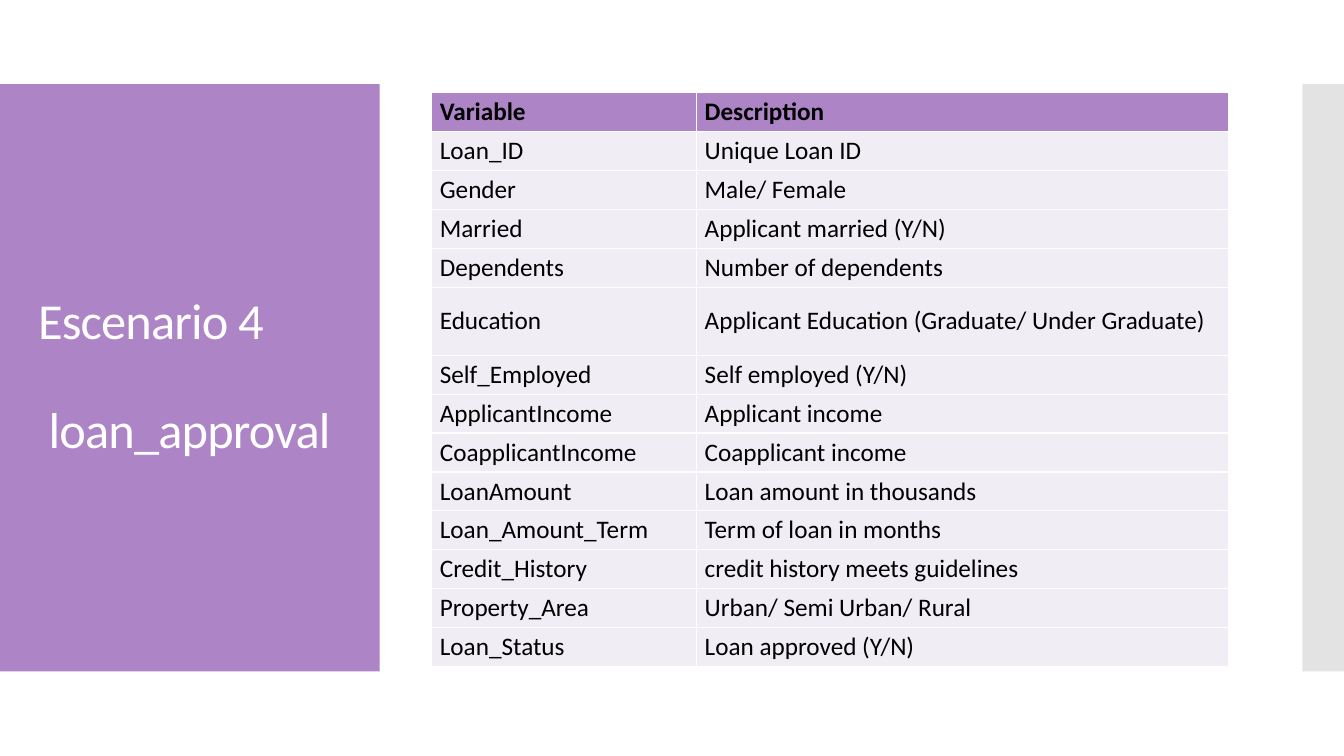
import dataclasses

import lxml.etree
import pptx
import pptx.dml.color
import pptx.enum.shapes
import pptx.enum.text
import pptx.oxml.ns
import pptx.util

Pt = pptx.util.Pt
qn = pptx.oxml.ns.qn
MIDDLE = pptx.enum.text.MSO_ANCHOR.MIDDLE


@dataclasses.dataclass(frozen=True)
class Theme:
    font: str = "Calibri"
    purple: str = "AD84C6"
    pale: str = "F1EDF5"
    gray: str = "C8C8C8"
    white: str = "FFFFFF"
    black: str = "000000"
    title: int = 36
    body: int = 18


def paint(fill, color):
    fill.solid()
    fill.fore_color.rgb = pptx.dml.color.RGBColor.from_string(color)


class Board:
    def __init__(self, slide, theme):
        self.slide = slide
        self.theme = theme

    def style(self, para, size, color, bold=False):
        font = para.font
        font.name = self.theme.font
        font.size = Pt(size)
        font.bold = bold
        paint(font.fill, color)

    def panel(self, left, top, width, height, color, alpha=100):
        shape = self.slide.shapes.add_shape(
            pptx.enum.shapes.MSO_SHAPE.RECTANGLE,
            Pt(left), Pt(top), Pt(width), Pt(height))
        shape.shadow.inherit = False
        shape.line.fill.background()
        paint(shape.fill, color)
        if alpha < 100:
            tint = shape.fill._xPr.find(".//" + qn("a:srgbClr"))
            lxml.etree.SubElement(tint, qn("a:alpha"), val=str(alpha * 1000))

    def title(self, left, top, width, height, lines, gap, indent):
        shape = self.slide.shapes.title
        self.slide.shapes._spTree.append(shape._element)
        shape.left, shape.top = Pt(left), Pt(top)
        shape.width, shape.height = Pt(width), Pt(height)
        frame = shape.text_frame
        frame.text = "\n".join(lines)
        frame.word_wrap = True
        frame.auto_size = pptx.enum.text.MSO_AUTO_SIZE.NONE
        frame.vertical_anchor = MIDDLE
        for index, para in enumerate(frame.paragraphs):
            self.style(para, self.theme.title, self.theme.white)
            para.alignment = pptx.enum.text.PP_ALIGN.LEFT
            para.line_spacing = 0.9
            para.space_before = Pt(gap * index)
            para._p.get_or_add_pPr().set("marL", str(Pt(indent * index)))
            para.runs[0]._r.get_or_add_rPr().set("spc", "-60")

    def border(self, cell):
        props = cell._tc.get_or_add_tcPr()
        for side in ("a:lnL", "a:lnR", "a:lnT", "a:lnB"):
            line = lxml.etree.SubElement(props, qn(side), w=str(Pt(1)))
            fill = lxml.etree.SubElement(line, qn("a:solidFill"))
            lxml.etree.SubElement(fill, qn("a:srgbClr"), val=self.theme.white)

    def table(self, left, top, widths, heights, rows):
        table = self.slide.shapes.add_table(
            len(rows), len(widths), Pt(left), Pt(top),
            Pt(sum(widths)), Pt(sum(heights))).table
        table.horz_banding = False
        for column, width in zip(table.columns, widths):
            column.width = Pt(width)
        for index, (row, height, words) in enumerate(
                zip(table.rows, heights, rows)):
            row.height = Pt(height)
            head = index == 0
            for cell, text in zip(row.cells, words):
                cell.text = text
                cell.vertical_anchor = MIDDLE
                cell.margin_left = cell.margin_right = Pt(5.8)
                cell.margin_top = cell.margin_bottom = Pt(2.9)
                self.style(cell.text_frame.paragraphs[0],
                           self.theme.body, self.theme.black, head)
                self.border(cell)
                paint(cell.fill, self.theme.purple if head else self.theme.pale)


FIELDS = [
    ("Variable", "Description"),
    ("Loan_ID", "Unique Loan ID"),
    ("Gender", "Male/ Female"),
    ("Married", "Applicant married (Y/N)"),
    ("Dependents", "Number of dependents"),
    ("Education", "Applicant Education (Graduate/ Under Graduate)"),
    ("Self_Employed", "Self employed (Y/N)"),
    ("ApplicantIncome", "Applicant income"),
    ("CoapplicantIncome", "Coapplicant income"),
    ("LoanAmount", "Loan amount in thousands"),
    ("Loan_Amount_Term", "Term of loan in months"),
    ("Credit_History", "credit history meets guidelines"),
    ("Property_Area", "Urban/ Semi Urban/ Rural"),
    ("Loan_Status", "Loan approved (Y/N)"),
]


def main():
    deck = pptx.Presentation()
    deck.slide_width, deck.slide_height = Pt(960), Pt(540)
    theme = Theme()
    board = Board(deck.slides.add_slide(deck.slide_layouts[5]), theme)
    board.panel(0, 60, 271.2, 419.5, theme.purple)
    board.panel(930.2, 60, 29.8, 419.5, theme.gray, 50)
    board.title(20, 88.5, 232, 362, ["Escenario 4", "loan_approval"], 39, 7.5)
    heights = [48.6 if name == "Education" else 27.6 for name, _ in FIELDS]
    board.table(308.4, 66.3, [189.2, 380], heights, FIELDS)
    deck.save("out.pptx")


if __name__ == "__main__":
    main()
